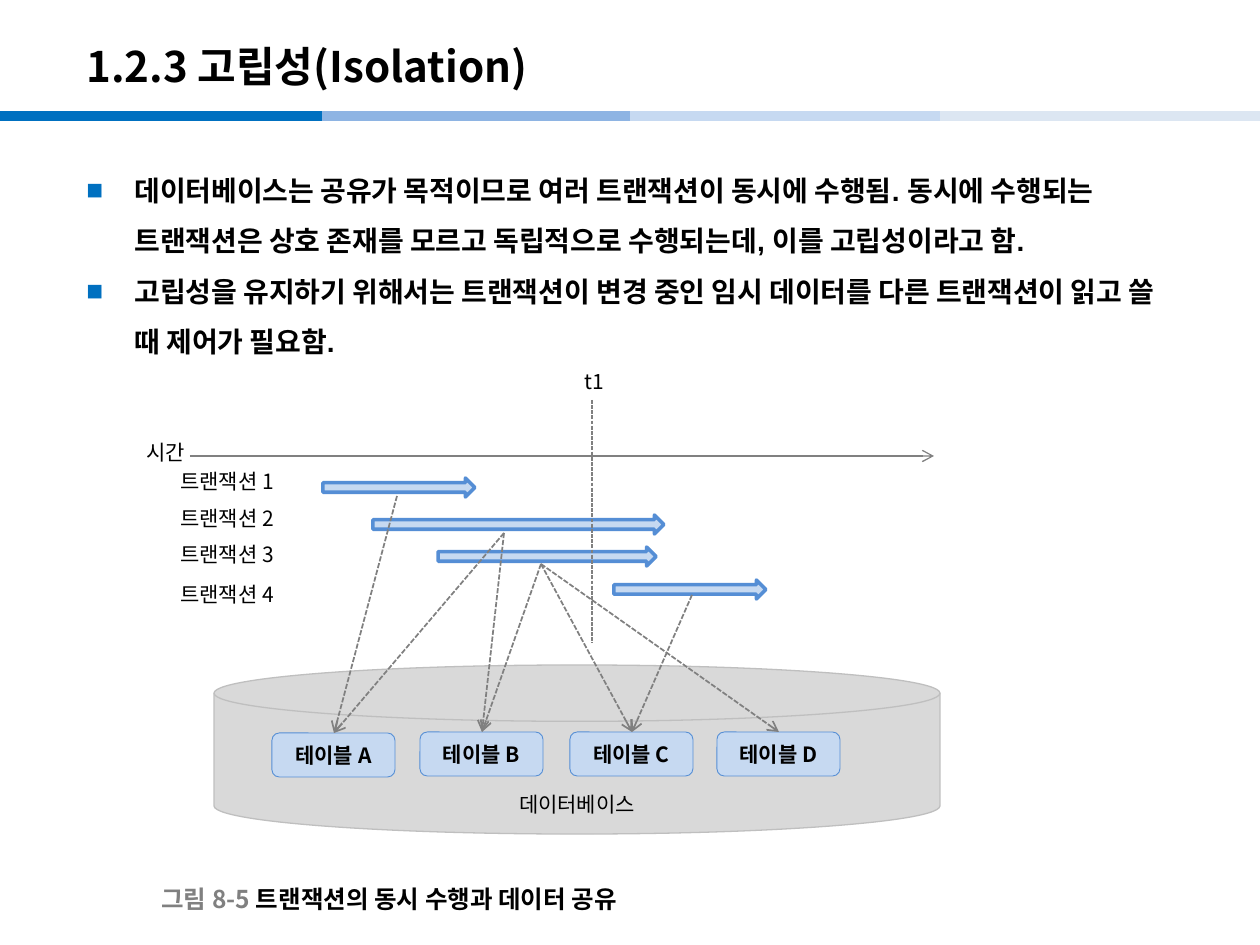
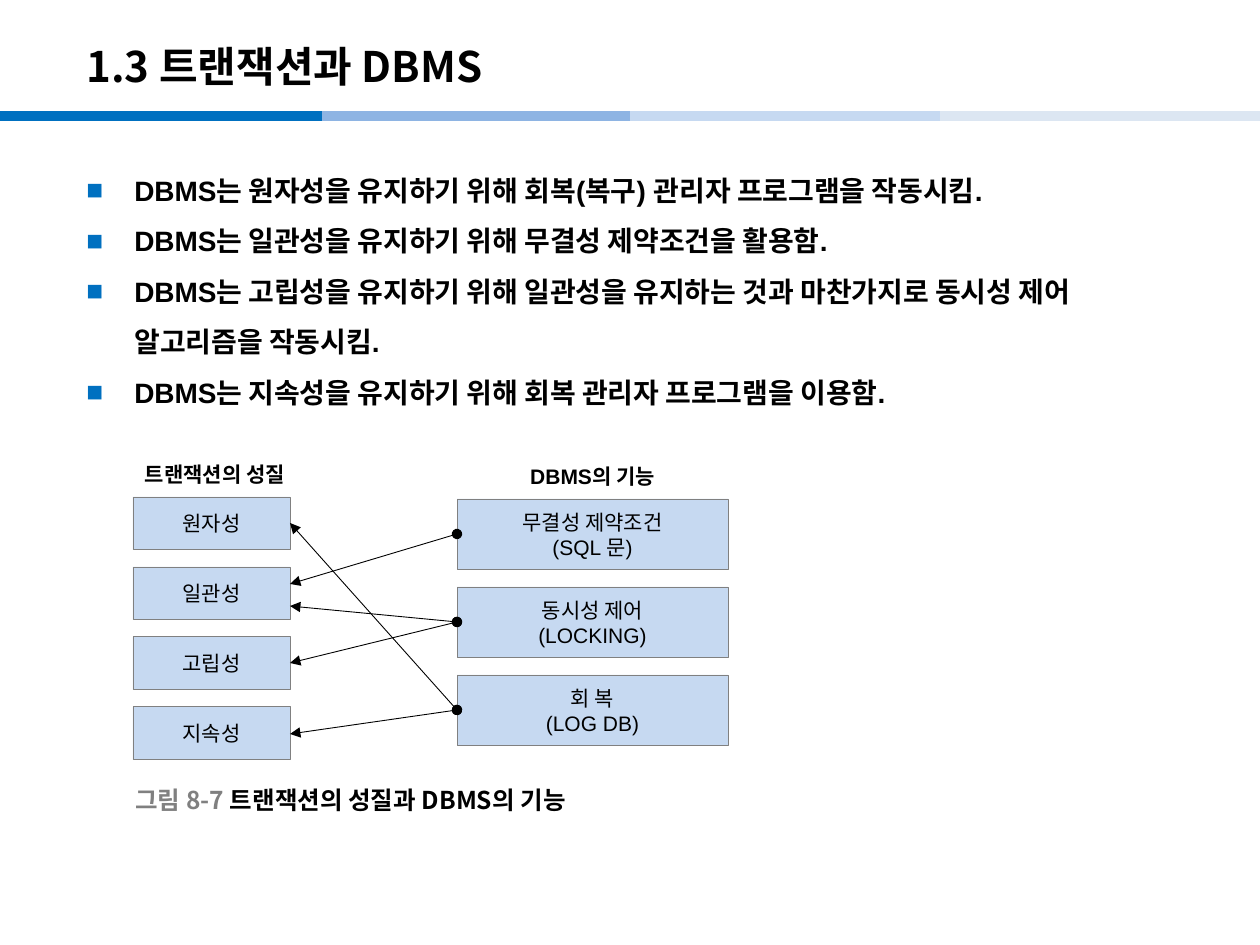
from lxml.etree import SubElement
from pptx import Presentation
from pptx.dml.color import RGBColor
from pptx.enum.dml import MSO_LINE
from pptx.enum.shapes import MSO_CONNECTOR, MSO_SHAPE
from pptx.enum.text import MSO_ANCHOR, PP_ALIGN
from pptx.oxml.ns import qn
from pptx.util import Pt

PX = 9144000 / 1260
BLACK = RGBColor(0x00, 0x00, 0x00)
GRAY = RGBColor(0x80, 0x80, 0x80)
BLUE = RGBColor(0x00, 0x70, 0xC0)
MID_BLUE = RGBColor(0x8E, 0xB4, 0xE3)
LIGHT_BLUE = RGBColor(0xC6, 0xD9, 0xF1)
PALE_BLUE = RGBColor(0xDC, 0xE6, 0xF2)
EDGE_BLUE = RGBColor(0x55, 0x8E, 0xD5)
DISK_FILL = RGBColor(0xD9, 0xD9, 0xD9)
DISK_EDGE = RGBColor(0xBF, 0xBF, 0xBF)
NOTO = "Noto Sans CJK KR"
ARIAL = "Arial"


def put(slide, box, text="", size=12, font=NOTO, bold=False, kind=None, fill=None,
        edge=None, edge_width=0.5, anchor=MSO_ANCHOR.MIDDLE, spacing=None):
    area = [round(value * PX) for value in box]
    if kind is None:
        shape = slide.shapes.add_textbox(*area)
    else:
        shape = slide.shapes.add_shape(kind, *area)
        shape.shadow.inherit = False
        for paint, color in ((shape.fill, fill), (shape.line.fill, edge)):
            if color is None:
                paint.background()
            else:
                paint.solid()
                paint.fore_color.rgb = color
        if edge is not None:
            shape.line.width = Pt(edge_width)
    frame = shape.text_frame
    frame.word_wrap = True
    frame.vertical_anchor = anchor
    if not text:
        return shape
    frame.text = text
    for paragraph in frame.paragraphs:
        first, *others = paragraph.text.split("|")
        paragraph.text = first
        for other in others:
            paragraph.add_run().text = other
        paragraph.alignment = PP_ALIGN.LEFT if kind is None else PP_ALIGN.CENTER
        if spacing:
            paragraph.line_spacing = Pt(spacing)
        for run in paragraph.runs:
            run.font.size = Pt(size)
            run.font.bold = bold
            run.font.color.rgb = BLACK
            run.font.name = font
            SubElement(run.font._element, qn("a:ea"), typeface=NOTO)
    return shape


def link(slide, start, end, color, width, dash=None, head=None, tail=None):
    points = [round(value * PX) for value in (*start, *end)]
    connector = slide.shapes.add_connector(MSO_CONNECTOR.STRAIGHT, *points)
    connector.line.color.rgb = color
    connector.line.width = Pt(width)
    if dash:
        connector.line.dash_style = dash
    outline = connector.line._get_or_add_ln()
    for tag, tip in (("a:headEnd", head), ("a:tailEnd", tail)):
        if tip:
            SubElement(outline, qn(tag), type=tip)
    SubElement(connector._element.spPr, qn("a:effectLst"))


deck = Presentation()
deck.slide_width = round(1260 * PX)
deck.slide_height = round(945 * PX)

pages = [
    ("1.2.3 고립성(Isolation)",
     ["데이터베이스는 공유가 목적이므로 여러 트랜잭션이 동시에 수행됨. 동시에 수행되는 "
      "트랜잭션은 상호 존재를 모르고 독립적으로 수행되는데, 이를 고립성이라고 함.",
      "고립성을 유지하기 위해서는 트랜잭션이 변경 중인 임시 데이터를 다른 트랜잭션이 읽고 쓸 "
      "때 제어가 필요함."],
     "그림 8-5 |트랜잭션의 동시 수행과 데이터 공유", (149, 879)),
    ("1.3 트랜잭션과 DBMS",
     ["DBMS는 원자성을 유지하기 위해 회복(복구) 관리자 프로그램을 작동시킴.",
      "DBMS는 일관성을 유지하기 위해 무결성 제약조건을 활용함.",
      "DBMS는 고립성을 유지하기 위해 일관성을 유지하는 것과 마찬가지로 동시성 제어 "
      "알고리즘을 작동시킴.",
      "DBMS는 지속성을 유지하기 위해 회복 관리자 프로그램을 이용함."],
     "그림 8-7 |트랜잭션의 성질과 DBMS의 기능", (123, 780)),
]
bands = [(0, BLUE), (322, MID_BLUE), (630, LIGHT_BLUE), (940, PALE_BLUE)]

slides = []
for title, points, caption, caption_corner in pages:
    slide = deck.slides.add_slide(deck.slide_layouts[6])
    slides.append(slide)
    for left, color in bands:
        link(slide, (left, 116), (min(left + 323, 1260), 116), color, 6)
    put(slide, (74, 28, 1042, 76), title, 24, bold=True)
    body = put(slide, (74, 150, 1111, 753), "\n".join(points), 16, ARIAL, True,
               anchor=MSO_ANCHOR.TOP, spacing=28.9)
    for paragraph in body.text_frame.paragraphs:
        settings = paragraph._p.get_or_add_pPr()
        settings.set("marL", str(round(48 * PX)))
        settings.set("indent", str(round(-48 * PX)))
        bullet_color = SubElement(settings, qn("a:buClr"))
        SubElement(bullet_color, qn("a:srgbClr"), val=str(BLUE))
        SubElement(settings, qn("a:buFont"), typeface=ARIAL)
        SubElement(settings, qn("a:buChar"), char="■")
    figure_caption = put(slide, (*caption_corner, 560, 39), caption, 14, bold=True)
    figure_caption.text_frame.paragraphs[0].runs[0].font.color.rgb = GRAY

isolation, functions = slides

database = put(isolation, (214, 665, 726, 169), "데이터베이스",
               kind=MSO_SHAPE.FLOWCHART_MAGNETIC_DISK, fill=DISK_FILL,
               edge=DISK_EDGE, edge_width=0.75, anchor=MSO_ANCHOR.TOP)
database.text_frame.margin_top = round(70 * PX)
database.text_frame.margin_bottom = 0

link(isolation, (190, 456), (934, 456), GRAY, 0.75, tail="arrow")
transactions = [(323, 478, 152, 462), (373, 515, 291, 499),
                (438, 547, 218, 535), (614, 580, 152, 575)]
for number, (left, top, length, label_top) in enumerate(transactions, 1):
    put(isolation, (left, top, length, 19), kind=MSO_SHAPE.RIGHT_ARROW,
        fill=LIGHT_BLUE, edge=EDGE_BLUE, edge_width=2)
    put(isolation, (168, label_top, 145, 34), f"트랜잭션 {number}",
        anchor=MSO_ANCHOR.TOP)

tables = {"A": (272, 733), "B": (420, 732), "C": (570, 732), "D": (717, 732)}
for letter, corner in tables.items():
    put(isolation, (*corner, 123, 44), f"테이블 {letter}", bold=True,
        kind=MSO_SHAPE.ROUNDED_RECTANGLE, fill=LIGHT_BLUE, edge=EDGE_BLUE)

link(isolation, (592, 400), (592, 643), GRAY, 0.75, MSO_LINE.SQUARE_DOT)
put(isolation, (134, 433, 102, 34), "시간", anchor=MSO_ANCHOR.TOP)
put(isolation, (572, 362, 141, 34), "t1", anchor=MSO_ANCHOR.TOP)

accesses = [((397, 496), "A"), ((504, 533), "AB"), ((541, 564), "BCD"), ((692, 595), "C")]
for source, letters in accesses:
    for letter in letters:
        left, top = tables[letter]
        link(isolation, source, (left + 62, top), GRAY, 1, MSO_LINE.SQUARE_DOT,
             tail="arrow")

headings = [("트랜잭션의 성질", (121, 452, 188, 44)), ("DBMS의 기능", (457, 454, 271, 44))]
for heading, box in headings:
    put(functions, box, heading, font=ARIAL, bold=True,
        kind=MSO_SHAPE.ROUNDED_RECTANGLE)

dbms_features = ["무결성 제약조건\n(SQL 문)", "동시성 제어\n(LOCKING)", "회 복\n(LOG DB)"]
for row, feature in enumerate(dbms_features):
    put(functions, (457, 499 + 88 * row, 271, 71), feature, font=ARIAL,
        kind=MSO_SHAPE.RECTANGLE, fill=LIGHT_BLUE, edge=GRAY, spacing=14.6)

for row, quality in enumerate(["원자성", "일관성", "고립성", "지속성"]):
    put(functions, (133, 497 + 70 * row, 157, 53), quality, font=ARIAL,
        kind=MSO_SHAPE.RECTANGLE, fill=LIGHT_BLUE, edge=GRAY)

for quality_y, feature_row in [(523, 2), (584, 0), (606, 1), (663, 1), (734, 2)]:
    link(functions, (290, quality_y), (457, 534 + 88 * feature_row), BLACK, 0.5,
         head="triangle", tail="oval")

deck.save("out.pptx")
